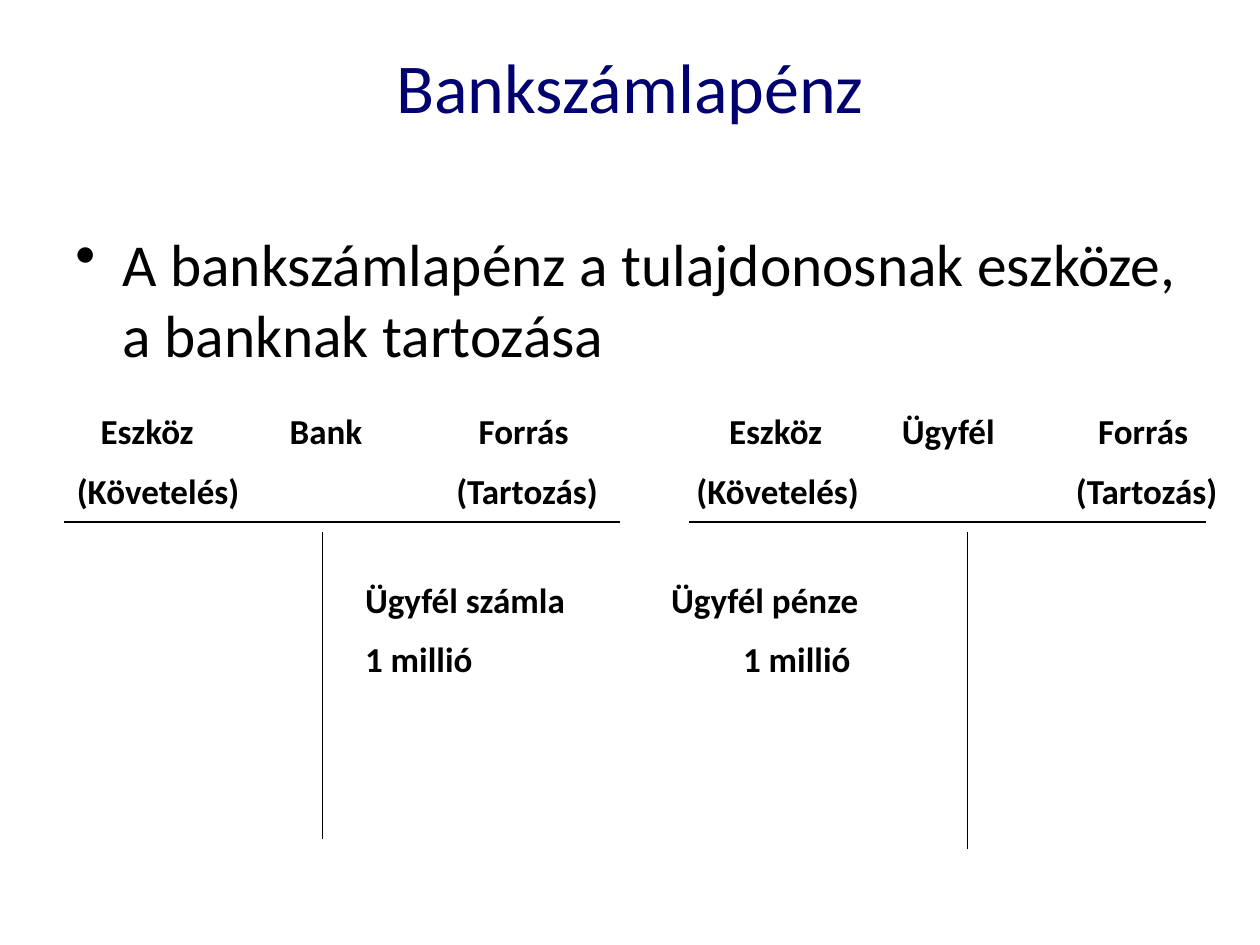
from dataclasses import dataclass

from lxml import etree
from pptx import Presentation, util as u
from pptx.dml.color import RGBColor
from pptx.enum import shapes, text
from pptx.oxml import ns


@dataclass(frozen=True)
class Theme:
    font: str = "Calibri"
    ink: RGBColor = RGBColor(0, 0, 0)
    title_ink: RGBColor = RGBColor(0, 0, 0x70)
    title_size: int = 40
    body_size: int = 34
    ledger_size: int = 20
    row_gap: int = 10
    line_width: float = 0.75


THEME = Theme()


def add_bullet(para, indent):
    """Give the paragraph a round bullet with a hanging indent."""
    props = para._p.get_or_add_pPr()
    props.set("marL", str(u.Cm(indent)))
    props.set("indent", str(-u.Cm(indent)))
    etree.SubElement(props, ns.qn("a:buChar")).set("char", "•")


def add_tabs(para, stops):
    """Set left tab stops, measured from the inner edge of the box."""
    tab_list = etree.SubElement(para._p.get_or_add_pPr(), ns.qn("a:tabLst"))
    for stop in stops:
        tab = etree.SubElement(tab_list, ns.qn("a:tab"))
        tab.set("pos", str(u.Cm(stop)))
        tab.set("algn", "l")


def write(para, words, *, size, color=THEME.ink, bold=False,
          align=text.PP_ALIGN.LEFT, before=0):
    para.alignment = align
    para.space_before = u.Pt(before)
    span = para.add_run()
    span.text = words
    span.font.name = THEME.font
    span.font.size = u.Pt(size)
    span.font.bold = bold
    span.font.color.rgb = color


def add_box(page, left, top, width, height):
    box = page.shapes.add_textbox(*map(u.Cm, (left, top, width, height)))
    box.text_frame.word_wrap = True
    return box.text_frame


def add_rows(page, place, rows):
    """Write rows of (words, tab stops) into one box."""
    frame = add_box(page, *place)
    for index, (words, stops) in enumerate(rows):
        para = frame.add_paragraph() if index else frame.paragraphs[0]
        write(para, words, size=THEME.ledger_size, bold=True,
              before=THEME.row_gap if index else 0)
        add_tabs(para, stops)


def add_line(page, *ends):
    line = page.shapes.add_connector(
        shapes.MSO_CONNECTOR.STRAIGHT, *map(u.Cm, ends))
    line.line.color.rgb = THEME.ink
    line.line.width = u.Pt(THEME.line_width)
    etree.SubElement(line._element.spPr, ns.qn("a:effectLst"))


def add_account(page, owner, left, width, owner_stops, bar, stem):
    """Draw a T-account: two heading rows, a bar and a stem."""
    bar_top, stem_top = 10.52, 10.72
    add_rows(page, (left, 8.13, width, 2.39), [
        (f"\tEszköz\t{owner}\tForrás", owner_stops),
        ("(Követelés)\t(Tartozás)", [7.65]),
    ])
    add_line(page, bar[0], bar_top, bar[1], bar_top)
    add_line(page, stem[0], stem_top, stem[0], stem[1])


def main():
    deck = Presentation()
    deck.slide_width, deck.slide_height = u.Cm(25.4), u.Cm(19.05)
    page = deck.slides.add_slide(deck.slide_layouts[6])

    # Title and statement
    title = add_box(page, 1.27, 0.76, 22.86, 3.18)
    write(title.paragraphs[0], "Bankszámlapénz", size=THEME.title_size,
          color=THEME.title_ink, align=text.PP_ALIGN.CENTER)
    body = add_box(page, 1.27, 4.45, 22.86, 12.57)
    write(body.paragraphs[0],
          "A bankszámlapénz a tulajdonosnak eszköze, a banknak tartozása",
          size=THEME.body_size)
    add_bullet(body.paragraphs[0], 0.95)

    # Accounts of the bank and of the client
    add_account(page, "Bank", 1.3, 11.4, [0.48, 4.29, 8.1],
                bar=(1.3, 12.5), stem=(6.5, 16.92))
    add_account(page, "Ügyfél", 13.79, 11.1, [0.66, 4.14, 8.1],
                bar=(13.89, 24.31), stem=(19.51, 17.12))

    # Matching entries in both accounts
    add_rows(page, (7.11, 11.53, 12.19, 2.36), [
        ("Ügyfél számla\tÜgyfél pénze", [6.17]),
        ("1 millió\t1 millió", [7.62]),
    ])

    deck.save("out.pptx")


if __name__ == "__main__":
    main()
